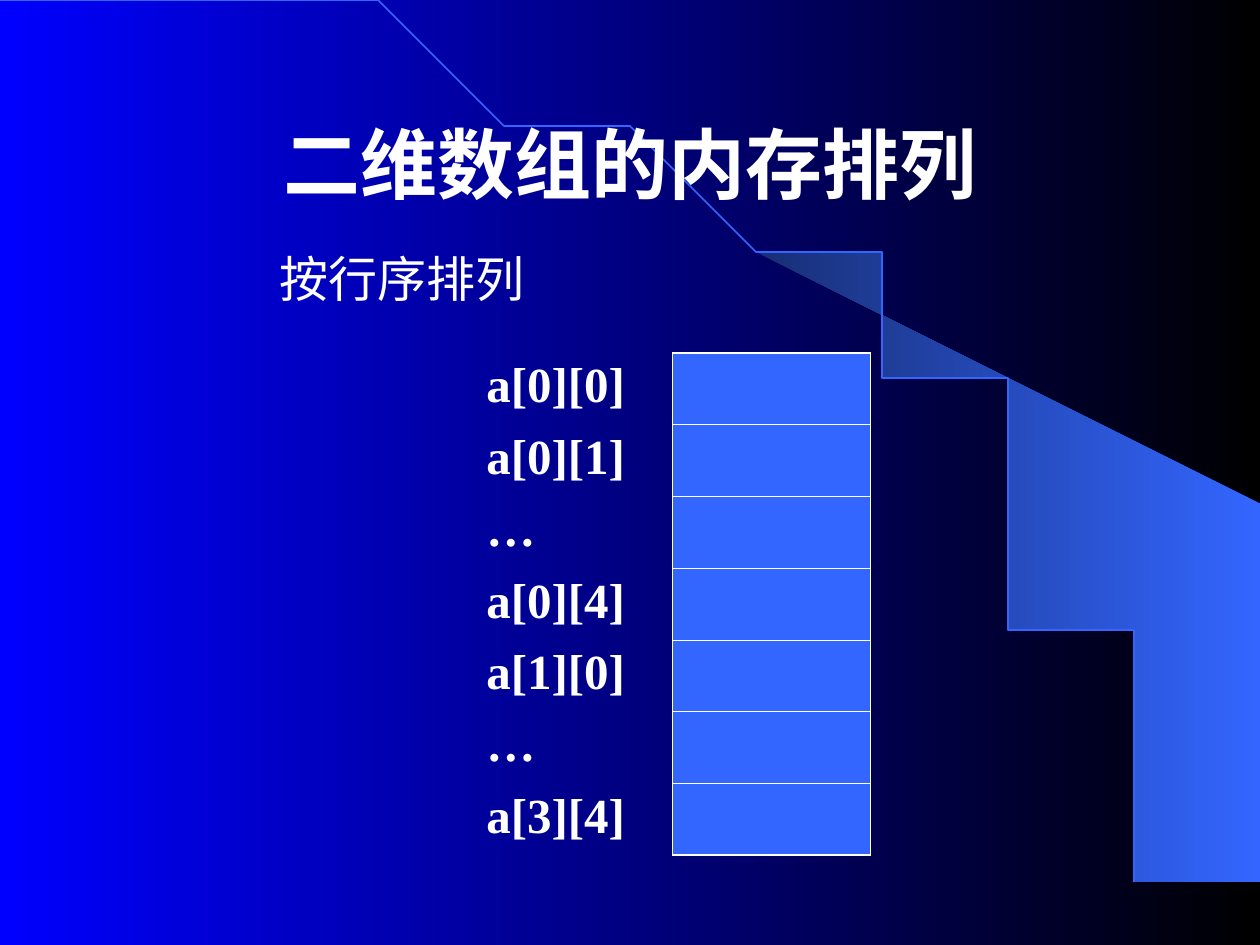
from math import asin, cos, pi, sin

from lxml import etree
from pptx import Presentation
from pptx.dml.color import RGBColor
from pptx.enum.text import MSO_ANCHOR, PP_ALIGN
from pptx.oxml.ns import qn
from pptx.util import Inches, Pt

CENTER = PP_ALIGN.CENTER
MIDDLE = MSO_ANCHOR.MIDDLE
WHITE, BLUE = "FFFFFF", "3366FF"
NO_GRID_STYLE = "{2D5ABB26-0587-4C30-8999-92F81FD0307C}"
ARC_WIDTH, ARC_HEIGHT = 9.2, 7.49
ELEMENTS = ["a[0][0]", "a[0][1]", "…", "a[0][4]", "a[1][0]", "…", "a[3][4]"]
THIN, THICK = 0.45, 1.08


def color(value):
    """Turn a hex string into a colour."""
    return RGBColor.from_string(value)


def set_gradient(fill, start, end):
    """Apply a left-to-right gradient."""
    fill.gradient()
    fill.gradient_angle = 0
    for stop, value in zip(fill.gradient_stops, (start, end)):
        stop.color.rgb = color(value)


def write(frame, text, size, font, bold=False):
    """Write one white paragraph and return it."""
    para = frame.paragraphs[0]
    para.text = text
    para.font.size = Pt(size)
    para.font.name = font
    para.font.bold = bold
    para.font.color.rgb = color(WHITE)
    return para


def arc_points(start, steps=60):
    """List points on the quarter ellipse from an angle down to its foot."""
    angles = [start + (pi / 2 - start) * step / steps for step in range(steps + 1)]
    return [(ARC_WIDTH * sin(angle), ARC_HEIGHT * (1 - cos(angle))) for angle in angles]


def draw_outline(page, points, close):
    """Draw a freeform through points given in inches."""
    builder = page.shapes.build_freeform(*points[0], scale=Inches(1))
    builder.add_line_segments(points[1:], close=close)
    shape = builder.convert_to_shape()
    shape.shadow.inherit = False
    return shape


def add_backdrop(page):
    """Add the background, the beam and the large arc."""
    set_gradient(page.background.fill, "0000FF", "000000")
    corners = [(9.99, ARC_HEIGHT), (9.99, 4.23)]
    beam = draw_outline(page, arc_points(asin(0.64)) + corners, True)
    set_gradient(beam.fill, "182F76", BLUE)
    beam.line.fill.background()
    arc = draw_outline(page, arc_points(0), False)
    arc.fill.background()
    arc.line.color.rgb = color(BLUE)
    arc.line.width = Pt(1)


def add_title(page, text, box):
    """Place the title in front of the backdrop."""
    title = page.shapes.title
    title.left, title.top, title.width, title.height = map(Inches, box)
    title.text_frame.vertical_anchor = MIDDLE
    write(title.text_frame, text, 44, "Arial", True).alignment = CENTER
    title.element.getparent().append(title.element)


def add_subtitle(page, text, box):
    """Add the line that names the ordering."""
    label = page.shapes.add_textbox(*map(Inches, box))
    label.text_frame.word_wrap = True
    write(label.text_frame, text, 28, "Arial")


def set_borders(cell, widths):
    """Give a cell white borders, with widths for L, R, T and B."""
    properties = cell._tc.get_or_add_tcPr()
    for side, width in zip("LRTB", widths):
        line = etree.SubElement(properties, qn(f"a:ln{side}"), w=str(Pt(width)))
        solid = etree.SubElement(line, qn("a:solidFill"))
        etree.SubElement(solid, qn("a:srgbClr"), val=WHITE)


def add_memory_table(page, names, box):
    """Add element names beside their memory cells."""
    frame = page.shapes.add_table(len(names), 2, *map(Inches, box))
    table = frame.table
    table.first_row = table.horz_banding = False
    table._tbl.tblPr.find(qn("a:tableStyleId")).text = NO_GRID_STYLE
    last = len(names) - 1
    for index, name in enumerate(names):
        label, memory = table.cell(index, 0), table.cell(index, 1)
        label.fill.background()
        write(label.text_frame, name, 28, "Times New Roman", True)
        top = THIN if index else THICK
        bottom = THICK if index == last else THIN
        set_borders(memory, (THIN, THICK, top, bottom))
        memory.fill.solid()
        memory.fill.fore_color.rgb = color(BLUE)


def main():
    """Build the slide and save it."""
    deck = Presentation()
    deck.slide_width, deck.slide_height = Inches(10), Inches(7.5)
    page = deck.slides.add_slide(deck.slide_layouts[5])
    add_backdrop(page)
    add_title(page, "二维数组的内存排列", (0.75, 0.67, 8.5, 1.25))
    add_memory_table(page, ELEMENTS, (3.76, 2.8, 3.15, 3.99))
    add_subtitle(page, "按行序排列", (2.12, 1.92, 6.21, 0.57))
    deck.save("out.pptx")


if __name__ == "__main__":
    main()
